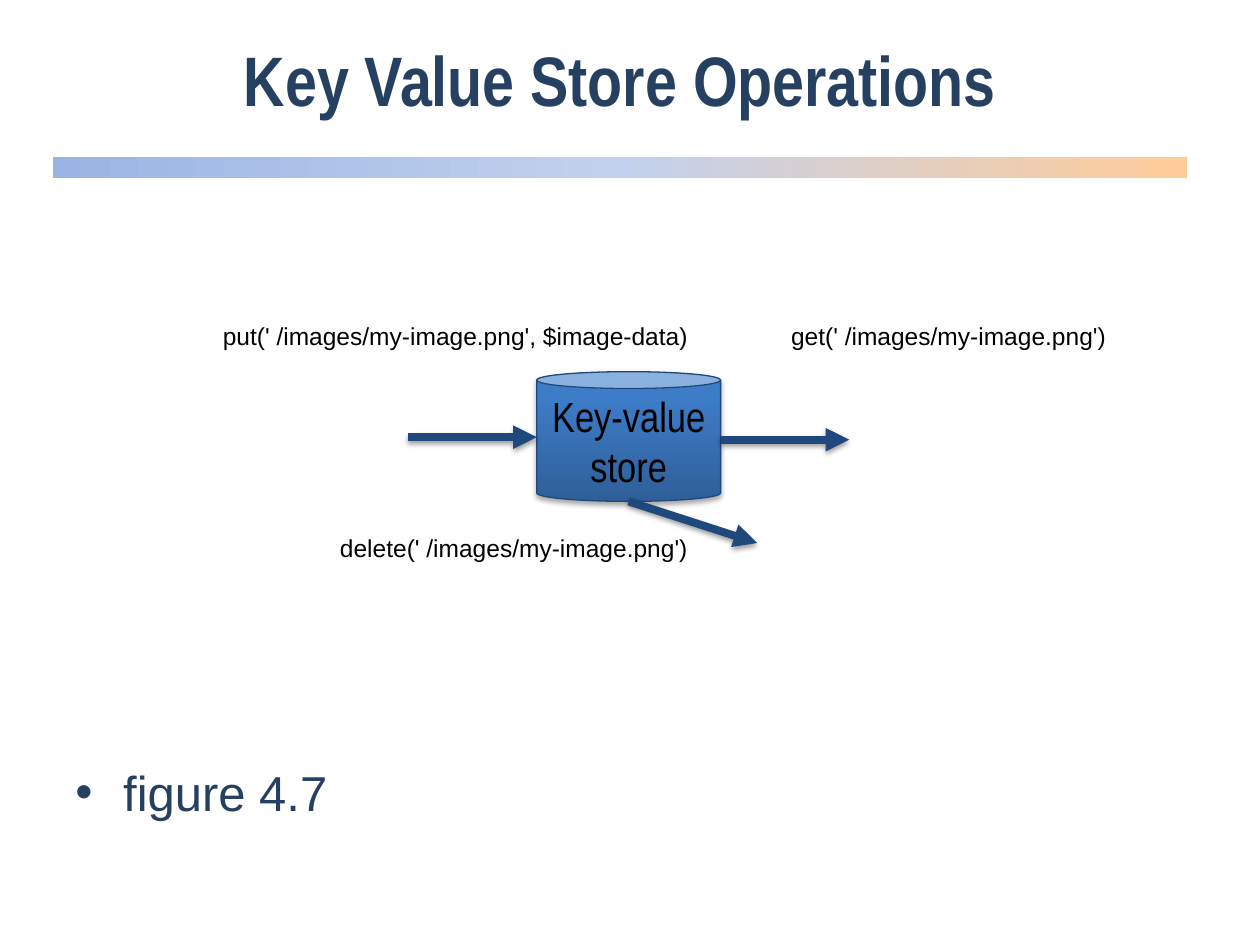
from lxml import etree
from pptx import Presentation
from pptx.dml.color import RGBColor
from pptx.enum.shapes import MSO_CONNECTOR as CONN, MSO_SHAPE as SHAPE
from pptx.enum.text import MSO_ANCHOR as ANCHOR, MSO_AUTO_SIZE as AUTOSIZE, PP_ALIGN as ALIGN
from pptx.oxml.ns import qn
from pptx.util import Inches, Pt

NAVY, BLUE, BLACK = "254061", "1F497D", "000000"


def rgb(color):
    return RGBColor.from_string(color)


def add_xml(parent, tag, **attrs):
    return etree.SubElement(parent, qn(tag), **attrs)


def set_font(p, name, size, color, bold=False):
    p.font.name, p.font.size, p.font.bold = name, Pt(size), bold
    p.font.color.rgb = rgb(color)


def set_gradient(sp, stops, angle):
    """Fill with (percent, colour) stops; the angle runs counter-clockwise."""
    sp.fill.gradient()
    sp.fill.gradient_angle = angle
    stop_list = sp._element.spPr.find(".//" + qn("a:gsLst"))
    for old in list(stop_list):
        stop_list.remove(old)
    for percent, color in stops:
        stop = add_xml(stop_list, "a:gs", pos=str(percent * 1000))
        add_xml(stop, "a:srgbClr", val=color)


def set_shadow(sp, opacity, blur, distance):
    """Cast a soft black shadow downwards; blur and distance are in points."""
    effects = add_xml(sp._element.spPr, "a:effectLst")
    shadow = add_xml(effects, "a:outerShdw", blurRad=str(Pt(blur)), dist=str(Pt(distance)),
                     dir="5400000", rotWithShape="0")
    color = add_xml(shadow, "a:srgbClr", val=BLACK)
    add_xml(color, "a:alpha", val=str(opacity * 1000))


def add_text(slide, text, x, y, w, h, wrap=True):
    """Add a text box and return its text frame."""
    tf = slide.shapes.add_textbox(Inches(x), Inches(y), Inches(w), Inches(h)).text_frame
    tf.word_wrap = wrap
    tf.text = text
    return tf


def add_title(slide, text):
    tf = add_text(slide, text, 0.42, 0, 9, 1.25)
    tf.vertical_anchor = ANCHOR.MIDDLE
    p = tf.paragraphs[0]
    p.alignment = ALIGN.CENTER
    set_font(p, "Arial Narrow", 40, NAVY, bold=True)


def add_divider(slide):
    bar = slide.shapes.add_shape(SHAPE.RECTANGLE, Inches(0.42), Inches(1.25), Inches(9), Inches(0.16))
    bar.shadow.inherit = False
    bar.line.fill.background()
    set_gradient(bar, [(0, "9AB5E4"), (50, "C2D1ED"), (100, "FFCC99")], 0)


def add_call(slide, code, x, y, w):
    tf = add_text(slide, code, x, y, w, 0.34, wrap=False)
    tf.auto_size = AUTOSIZE.SHAPE_TO_FIT_TEXT
    set_font(tf.paragraphs[0], "Arial", 14, BLACK)


def add_store(slide, text, x, y, w, h):
    store = slide.shapes.add_shape(SHAPE.CAN, Inches(x), Inches(y), Inches(w), Inches(h))
    store.adjustments[0] = 0.13
    set_gradient(store, [(0, "2F5F99"), (80, "3D7CC7"), (100, "3A7CCB")], 90)
    store.line.color.rgb = rgb(BLUE)
    store.line.width = Pt(0.75)
    set_shadow(store, 35, 3.1, 1.8)
    tf = store.text_frame
    tf.word_wrap = True
    tf.vertical_anchor = ANCHOR.MIDDLE
    tf.text = text
    p = tf.paragraphs[0]
    p.alignment = ALIGN.CENTER
    set_font(p, "Arial Narrow", 24, BLACK)


def add_arrow(slide, x, y, dx, dy=0):
    arrow = slide.shapes.add_connector(CONN.STRAIGHT, Inches(x), Inches(y), Inches(x + dx), Inches(y + dy))
    arrow.line.color.rgb = rgb(BLUE)
    arrow.line.width = Pt(4.5)
    add_xml(arrow.line._get_or_add_ln(), "a:tailEnd", type="triangle")
    set_shadow(arrow, 38, 3.1, 1.6)


def add_bullet(slide, text):
    p = add_text(slide, text, 0.5, 6, 9, 0.7).paragraphs[0]
    pPr = p._p.get_or_add_pPr()
    pPr.set("marL", str(Inches(0.38)))
    pPr.set("indent", str(Inches(-0.38)))
    add_xml(add_xml(pPr, "a:buClr"), "a:srgbClr", val=NAVY)
    add_xml(pPr, "a:buFont", typeface="Arial")
    add_xml(pPr, "a:buChar", char="•")
    set_font(p, "Arial", 28, NAVY)


def main():
    prs = Presentation()
    prs.slide_width, prs.slide_height = Inches(10), Inches(7.5)
    slide = prs.slides.add_slide(prs.slide_layouts[6])

    add_divider(slide)
    add_call(slide, "put(' /images/my-image.png', $image-data)", 1.67, 2.5, 3.91)
    add_call(slide, "get(' /images/my-image.png')", 6.18, 2.5, 2.71)
    add_call(slide, "delete(' /images/my-image.png')", 2.6, 4.18, 2.97)

    x, y, w, h = 4.26, 2.95, 1.46, 1.03
    reach = 1.02
    add_store(slide, "Key-value store", x, y, w, h)
    add_arrow(slide, x - reach, 3.47, reach)
    add_arrow(slide, x + w, 3.49, reach)
    add_arrow(slide, x + w / 2, y + h, reach, 0.33)

    add_title(slide, "Key Value Store Operations")
    add_bullet(slide, "figure 4.7")
    prs.save("out.pptx")


if __name__ == "__main__":
    main()
